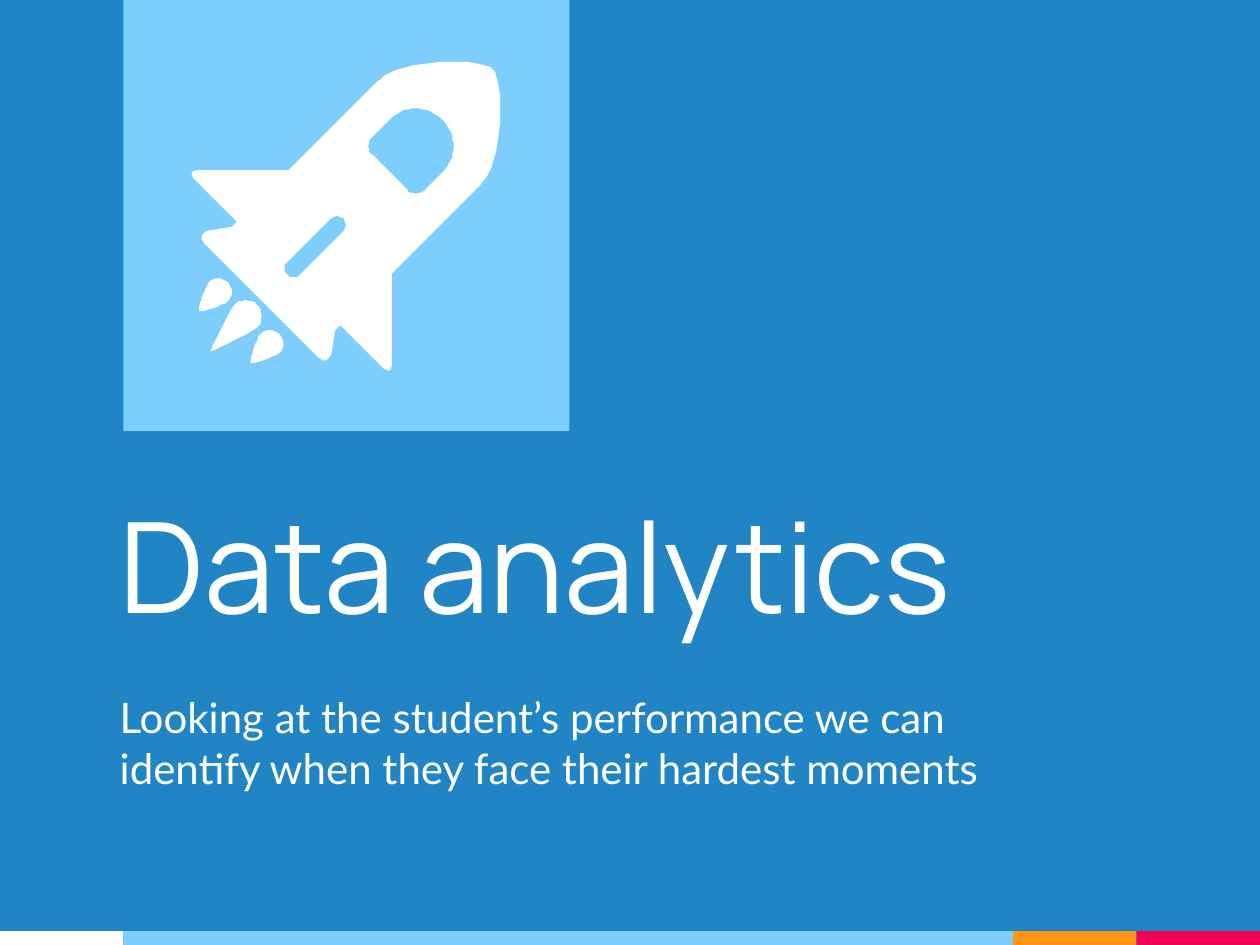
import pptx
import pptx.dml.color
import pptx.enum.shapes
import pptx.enum.text
import pptx.util
from pptx.util import Inches

WHITE, SKY, BLUE = "FFFFFF", "7ECEFD", "2185C5"
ORANGE, RED = "FF9715", "F20253"
ROCKET_BOX = (1.52, 0.49, 2.45, 2.45)

HULL_HALF = [
    (2.39, 0.06), (2.38, 0.05), (2.37, 0.04), (2.33, 0.03), (2.29, 0.02),
    (2.24, 0.01), (2.18, 0), (2.11, 0), (2.05, 0), (1.97, 0), (1.9, 0.01),
    (1.82, 0.02), (1.75, 0.03), (1.68, 0.05), (1.61, 0.07), (1.55, 0.1),
    (1.52, 0.12), (1.5, 0.14), (1.47, 0.16), (1.45, 0.18), (0.77, 0.86),
    (0.06, 0.86), (0.04, 0.86), (0.02, 0.87), (0.01, 0.87), (0, 0.88),
    (0, 0.89), (0.01, 0.91), (0.01, 0.92), (0.03, 0.94), (0.36, 1.27),
    (0.32, 1.31), (0.13, 1.34), (0.11, 1.35), (0.1, 1.36), (0.09, 1.37),
    (0.08, 1.38), (0.08, 1.39), (0.08, 1.41), (0.09, 1.42), (0.1, 1.44),
]
WINDOW_HALF = [
    (1.99, 0.46), (1.97, 0.44), (1.94, 0.42), (1.92, 0.41), (1.89, 0.39),
    (1.86, 0.38), (1.83, 0.38), (1.81, 0.37), (1.75, 0.37), (1.72, 0.38),
    (1.69, 0.38), (1.67, 0.39), (1.64, 0.41), (1.62, 0.42), (1.59, 0.44),
    (1.57, 0.46), (1.44, 0.59), (1.42, 0.61), (1.41, 0.63), (1.41, 0.65),
    (1.4, 0.67), (1.41, 0.69), (1.41, 0.71), (1.42, 0.73), (1.44, 0.74),
]
SLOT_HALF = [
    (1.21, 1.24), (1.2, 1.24), (1.19, 1.24), (1.18, 1.23), (1.17, 1.23),
    (1.16, 1.22), (1.14, 1.23), (1.13, 1.23), (1.12, 1.24), (1.11, 1.24),
    (0.76, 1.59), (0.75, 1.6), (0.74, 1.61), (0.74, 1.63), (0.74, 1.64),
    (0.74, 1.65), (0.74, 1.67), (0.75, 1.68),
]
MIDDLE_FLAME_HALF = [
    (0.52, 1.93), (0.5, 1.91), (0.48, 1.9), (0.45, 1.9), (0.43, 1.89),
    (0.41, 1.9), (0.38, 1.9), (0.36, 1.91), (0.34, 1.93), (0.32, 1.96),
    (0.29, 2.01), (0.23, 2.13), (0.17, 2.25), (0.15, 2.3),
]
SIDE_FLAME = [
    (0.19, 1.72), (0.17, 1.73), (0.15, 1.74), (0.14, 1.75), (0.12, 1.78),
    (0.11, 1.81), (0.09, 1.85), (0.08, 1.88), (0.06, 1.95), (0.06, 1.98),
    (0.09, 1.98), (0.16, 1.96), (0.2, 1.95), (0.23, 1.93), (0.27, 1.92),
    (0.29, 1.9), (0.3, 1.89), (0.31, 1.87), (0.32, 1.85), (0.32, 1.83),
    (0.32, 1.81), (0.31, 1.79), (0.3, 1.77), (0.29, 1.75), (0.27, 1.74),
    (0.25, 1.73), (0.23, 1.72),
]


def colour(hex_string):
    return pptx.dml.color.RGBColor.from_string(hex_string)


def paint(shape, fill):
    shape.shadow.inherit = False
    shape.fill.solid()
    shape.fill.fore_color.rgb = colour(fill)
    shape.line.fill.background()


def add_block(slide, box, fill):
    shape = slide.shapes.add_shape(
        pptx.enum.shapes.MSO_SHAPE.RECTANGLE, *map(Inches, box))
    paint(shape, fill)


def mirror(points, size):
    return [(size - y, size - x) for x, y in points]


def symmetric(half, size):
    return half + mirror(half, size)[::-1]


def add_outline(group, box, contours):
    placed = [[(Inches(box[0] + x), Inches(box[1] + y)) for x, y in contour]
              for contour in contours]
    builder = group.shapes.build_freeform(*placed[0][0], scale=1.0)
    builder.add_line_segments(placed[0][1:], close=True)
    for contour in placed[1:]:
        builder.move_to(*contour[0])
        builder.add_line_segments(contour[1:], close=True)
    paint(builder.convert_to_shape(), WHITE)


def add_rocket(slide, box):
    size = box[2]
    group = slide.shapes.add_group_shape()
    body = [symmetric(half, size)
            for half in (HULL_HALF, WINDOW_HALF, SLOT_HALF)]
    flame = symmetric(MIDDLE_FLAME_HALF, size)
    for contours in (body, [flame], [SIDE_FLAME], [mirror(SIDE_FLAME, size)]):
        add_outline(group, box, contours)


def add_footer_bar(slide, box):
    left, top, width, height = box
    unit = 0.98
    widths = (unit, width - 3 * unit, unit, unit)
    for band_width, fill in zip(widths, (WHITE, SKY, ORANGE, RED)):
        add_block(slide, (left, top, band_width, height), fill)
        left += band_width


def fill_placeholder(shape, box, text, font_name, size, anchor):
    shape.left, shape.top, shape.width, shape.height = map(Inches, box)
    frame = shape.text_frame
    frame.word_wrap = True
    frame.auto_size = pptx.enum.text.MSO_AUTO_SIZE.NONE
    frame.vertical_anchor = anchor
    frame.margin_left = frame.margin_right = Inches(0.1)
    frame.margin_top = frame.margin_bottom = Inches(0.1)
    paragraph = frame.paragraphs[0]
    paragraph.alignment = pptx.enum.text.PP_ALIGN.LEFT
    paragraph.space_before = pptx.util.Pt(0)
    run = paragraph.add_run()
    run.text = text
    run.font.name = font_name
    run.font.size = pptx.util.Pt(size)
    run.font.color.rgb = colour(WHITE)


def build_section_slide(presentation):
    slide = presentation.slides.add_slide(presentation.slide_layouts[0])
    slide.background.fill.solid()
    slide.background.fill.fore_color.rgb = colour(BLUE)
    add_footer_bar(slide, (0, 7.39, 10, 0.11))
    add_block(slide, (0.98, 0, 3.54, 3.42), SKY)
    fill_placeholder(
        slide.shapes.title, (0.85, 3.48, 7.24, 1.69), "Data analytics",
        "Manrope", 72, pptx.enum.text.MSO_ANCHOR.BOTTOM)
    fill_placeholder(
        slide.placeholders[1], (0.85, 5.39, 7.24, 1.14),
        "Looking at the student’s performance we can identify "
        "when they face their hardest moments",
        "Lato", 24, pptx.enum.text.MSO_ANCHOR.TOP)
    add_rocket(slide, ROCKET_BOX)


def main():
    presentation = pptx.Presentation()
    presentation.slide_width = Inches(10)
    presentation.slide_height = Inches(7.5)
    build_section_slide(presentation)
    presentation.save("out.pptx")


if __name__ == "__main__":
    main()
